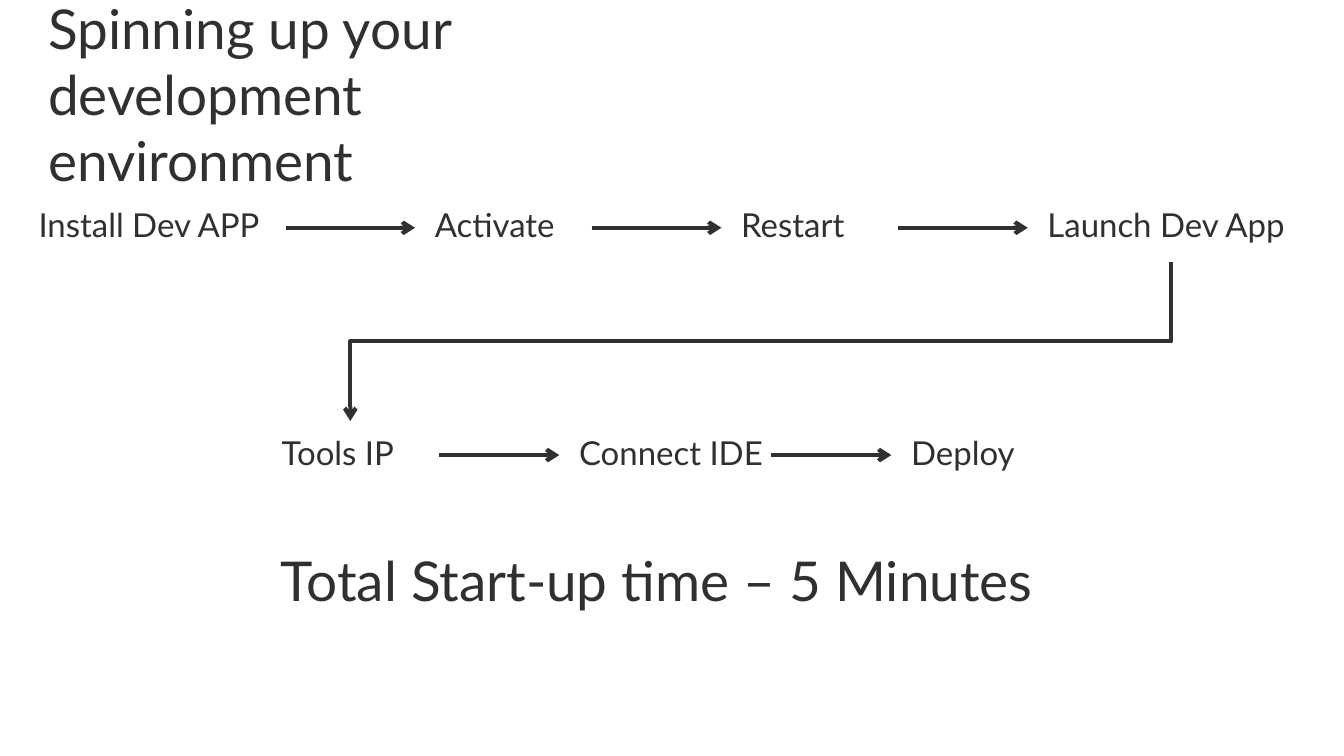
from lxml import etree
from pptx import Presentation, util as u
from pptx.dml.color import RGBColor
from pptx.enum import shapes, text
from pptx.oxml.ns import qn

INK = RGBColor(0x30, 0x30, 0x30)
WHITE = RGBColor(0xFF, 0xFF, 0xFF)

deck = Presentation()
deck.slide_width = u.Inches(13.6)
deck.slide_height = u.Inches(7.65)
slide = deck.slides.add_slide(deck.slide_layouts[6])


def write(box, words, size=24, align=text.PP_ALIGN.LEFT, insets=(0.2, 0.16, 0.05, 0.16),
          line_spacing=0.9, space_after=6):
    frame = box.text_frame
    frame.word_wrap = True
    frame.auto_size = text.MSO_AUTO_SIZE.SHAPE_TO_FIT_TEXT
    (frame.margin_left, frame.margin_top,
     frame.margin_right, frame.margin_bottom) = [u.Inches(inset) for inset in insets]
    paragraph = frame.paragraphs[0]
    paragraph.text = words
    paragraph.alignment = align
    paragraph.line_spacing = line_spacing
    paragraph.space_after = u.Pt(space_after)
    paragraph.font.name = "Lato"
    paragraph.font.size = u.Pt(size)
    paragraph.font.color.rgb = INK


def link(kind, source, source_side, target, target_side):
    arrow = slide.shapes.add_connector(kind, 0, 0, 0, 0)
    arrow.begin_connect(source, source_side)
    arrow.end_connect(target, target_side)
    arrow.line.color.rgb = INK
    arrow.line.width = u.Pt(3)
    etree.SubElement(arrow.line._get_or_add_ln(), qn("a:tailEnd"), type="arrow")
    etree.SubElement(arrow._element.spPr, qn("a:effectLst"))
    return arrow


step_rows = [
    (1.96, [("Install Dev APP", 0.19, 2.7), ("Activate", 4.2, 1.79),
            ("Restart", 7.3, 1.79), ("Launch Dev App", 10.4, 2.9)]),
    (4.26, [("Tools IP", 2.65, 1.79), ("Connect IDE", 5.66, 2.14), ("Deploy", 9.02, 1.47)]),
]
rows = []
for top, steps in step_rows:
    row = []
    for words, left, width in steps:
        step = slide.shapes.add_textbox(u.Inches(left), u.Inches(top), u.Inches(width), u.Inches(0.69))
        write(step, words)
        row.append(step)
    for step, next_step in zip(row, row[1:]):
        link(shapes.MSO_CONNECTOR.STRAIGHT, step, 3, next_step, 1)
    rows.append(row)

row_turn = link(shapes.MSO_CONNECTOR.ELBOW, rows[0][-1], 2, rows[1][0], 0)
start_x, start_y, end_x, end_y = row_turn.begin_x, row_turn.begin_y, row_turn.end_x, row_turn.end_y
drop, run = end_y - start_y, start_x - end_x
row_turn.left = (start_x + end_x - drop) // 2
row_turn.top = (start_y + end_y - run) // 2
row_turn.width, row_turn.height = drop, run
turn_frame = row_turn._element.spPr.find(qn("a:xfrm"))
turn_frame.attrib.clear()
turn_frame.set("rot", "5400000")

total_time = slide.shapes.add_shape(shapes.MSO_SHAPE.RECTANGLE, u.Inches(0.96), u.Inches(5.44),
                                    u.Inches(11.37), u.Inches(0.93))
total_time.shadow.inherit = False
total_time.fill.solid()
total_time.fill.fore_color.rgb = WHITE
total_time.line.fill.background()
write(total_time, "Total Start-up time – 5 Minutes", size=40, align=text.PP_ALIGN.CENTER,
      insets=(0.2, 0.16, 0.2, 0.16))

title = slide.shapes.add_textbox(u.Inches(0.39), u.Inches(-0.1), u.Inches(6.55), u.Inches(1.45))
write(title, "Spinning up your development environment", size=40,
      insets=(0.1, 0.05, 0.1, 0.05), line_spacing=1.0, space_after=0)

deck.save("out.pptx")
